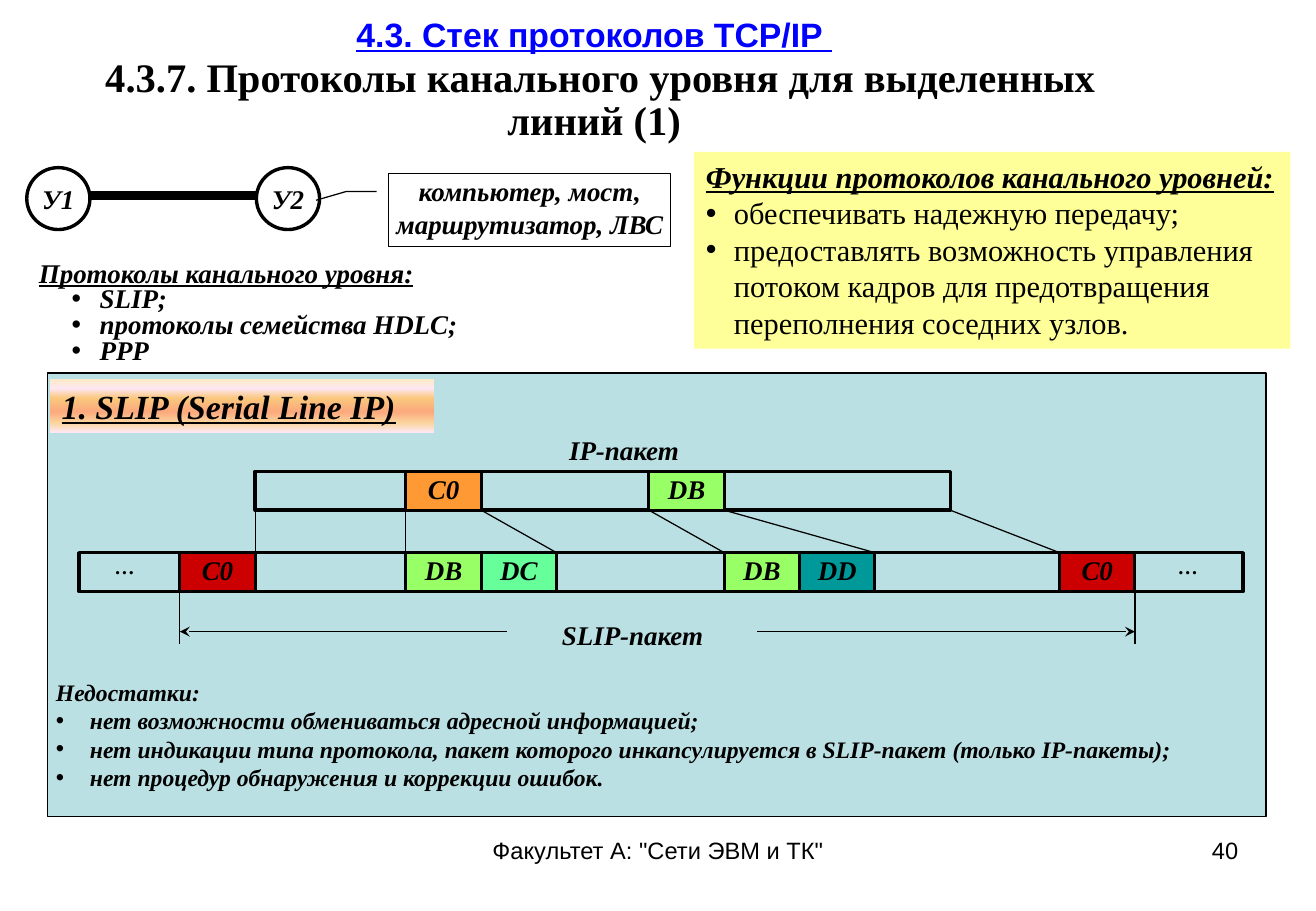
from pptx import Presentation
from pptx.dml.color import RGBColor
from pptx.enum.shapes import MSO_CONNECTOR, MSO_SHAPE
from pptx.enum.text import MSO_ANCHOR, MSO_AUTO_SIZE, PP_ALIGN
from pptx.oxml.ns import qn
from pptx.util import Inches, Pt
from lxml.etree import SubElement

BLACK = RGBColor(0, 0, 0)
WHITE = RGBColor(255, 255, 255)
BLUE = RGBColor(0, 0, 255)
CREAM = RGBColor(0xFF, 0xFF, 0x99)
PALE = RGBColor(0xBB, 0xE0, 0xE3)
AMBER = RGBColor(0xFF, 0x99, 0x33)
GREEN = RGBColor(0x99, 0xFF, 0x66)
MINT = RGBColor(0x66, 0xFF, 0x99)
TEAL = RGBColor(0, 0x99, 0x99)
RED = RGBColor(0xCC, 0, 0)
GLOW = [(0, "FBEAC7"), (18, "FEE7F2"), (36, "FAC77D"),
        (61, "FBA97D"), (82, "FBD49C"), (100, "FEE7F2")]

# Content: text, box, then the format of heads and items
TITLE = [("4.3. Стек протоколов TCP/IP ", dict(name="Arial", size=Pt(20), underline=True), BLUE),
         (" ", dict(size=Pt(28)), BLACK),
         ("4.3.7. Протоколы канального уровня для выделенных линий (1)", dict(size=Pt(24)), BLACK)]
LISTS = [
    dict(box=(0.3, 2.15, 4.24, 0.89), pad=(0.02, 0.01), size=16, left=0.5, hang=0.23,
         gap=0.8, line=True, bold=True, fill=None,
         head="Протоколы канального уровня:",
         items=["SLIP;", "протоколы семейства HDLC;", "РРР"]),
    dict(box=(5.71, 1.25, 4.91, 1.62), pad=(0.1, 0.05), size=18, left=0.23, hang=0.23,
         gap=1.0, line=True, bold=False, fill=CREAM,
         head="Функции протоколов канального уровней:",
         items=["обеспечивать надежную передачу;",
                "предоставлять возможность управления потоком кадров "
                "для предотвращения переполнения соседних узлов."]),
    dict(box=(0.36, 5.53, 10.06, 1.04), pad=(0.1, 0.05), size=14, left=0.28, hang=0.28,
         gap=1.0, line=False, bold=True, fill=None,
         head="Недостатки:",
         items=["нет возможности обмениваться адресной информацией;",
                "нет индикации типа протокола, пакет которого инкапсулируется "
                "в SLIP-пакет (только IP-пакеты);",
                "нет процедур обнаружения и коррекции ошибок."]),
]
NODES = [("У1", 0.22), ("У2", 2.11)]
BEND = (0.244, -0.043, 0.244, -0.15, 0.365, -0.258)

# Byte grid: groups of columns, each one byte wide
BYTE, HIGH = 0.62, 0.32
EDGES = [start + BYTE * k for start, count in ((1.48, 6), (5.34, 5), (8.72, 2))
         for k in range(count)]
IP, SLIP = 3.88, 4.55
BARS = [(2.1, IP, 5.72), (0.65, SLIP, 9.58)]
BYTES = [(IP, 3, "С0", AMBER), (IP, 6, "DB", GREEN),
         (SLIP, 0, "С0", RED), (SLIP, 3, "DB", GREEN), (SLIP, 4, "DC", MINT),
         (SLIP, 7, "DB", GREEN), (SLIP, 8, "DD", TEAL), (SLIP, 11, "С0", RED)]
LINKS = [(1, 1), (3, 3), (4, 5), (6, 7), (7, 9), (10, 11)]
SPANS = [(4.17, 0), (6.23, 12)]
LABELS = [("IP-пакет", (4.1, 3.56, 2.07, 0.28), 16),
          ("SLIP-пакет", (4.17, 5.08, 2.07, 0.28), 16),
          ("…", (0.72, SLIP, BYTE, HIGH), 12), ("…", (9.47, SLIP, BYTE, HIGH), 12)]
FOOT = [("Факультет А: \"Сети ЭВМ и ТК\"", (3.7, 6.83, 3.43, 0.52), PP_ALIGN.CENTER),
        ("40", (7.76, 6.83, 2.53, 0.52), PP_ALIGN.RIGHT)]


def put(thing, form):
    """Set each attribute named in the dict."""
    for key, value in form.items():
        setattr(thing, key, value)


def place(shape, box):
    """Move a shape to a box in inches."""
    put(shape, dict(zip(("left", "top", "width", "height"), map(Inches, box))))


def frame(shape, pad=(0.02, 0.01), anchor=MSO_ANCHOR.TOP):
    """Set margins, wrap and anchor of a text frame."""
    side, edge = map(Inches, pad)
    put(shape.text_frame, dict(margin_left=side, margin_right=side, margin_top=edge,
                               margin_bottom=edge, word_wrap=True,
                               auto_size=MSO_AUTO_SIZE.NONE, vertical_anchor=anchor))
    return shape.text_frame


def write(para, text, color=BLACK, **form):
    """Add a run, bold italic Times unless told otherwise."""
    run = para.add_run()
    run.text = text
    put(run.font, dict(name="Times New Roman", size=Pt(16), bold=True, italic=True) | form)
    run.font.color.rgb = color


def label(shape, text, align=PP_ALIGN.CENTER, pad=(0.02, 0.01), anchor=MSO_ANCHOR.TOP, **form):
    """Write one paragraph in a shape."""
    para = frame(shape, pad, anchor).paragraphs[0]
    para.alignment = align
    write(para, text, **form)


def draw(kind, box, fill=None, line=None):
    """Add a preset shape with plain fill and line."""
    shape = shapes.add_shape(kind, *map(Inches, box))
    shape.shadow.inherit = False
    if fill is None:
        shape.fill.background()
    else:
        shape.fill.solid()
        shape.fill.fore_color.rgb = fill
    if line:
        shape.line.color.rgb = BLACK
        shape.line.width = Pt(line)
    else:
        shape.line.fill.background()
    return shape


def link(x1, y1, x2, y2, width=0.75, tail=None):
    """Join two points, with an arrowhead if asked."""
    line = shapes.add_connector(MSO_CONNECTOR.STRAIGHT, *map(Inches, (x1, y1, x2, y2)))
    line.line.color.rgb = BLACK
    line.line.width = Pt(width)
    if tail:
        SubElement(line.line._get_or_add_ln(), qn("a:tailEnd"), type=tail)
    SubElement(line.element.spPr, qn("a:effectLst"))


def shade(shape, stops):
    """Fill a shape with a gradient running downwards."""
    shape.fill.gradient()
    shape.fill.gradient_angle = 270
    bar = shape.element.find(".//" + qn("a:gsLst"))
    for stop in list(bar):
        bar.remove(stop)
    for share, color in stops:
        stop = SubElement(bar, qn("a:gs"), pos=str(share * 1000))
        SubElement(stop, qn("a:srgbClr"), val=color)


def fill_list(shape, data):
    """Write a head and its bullet items in a body placeholder."""
    shape.element.getparent().append(shape.element)
    place(shape, data["box"])
    if data["fill"]:
        shape.fill.solid()
        shape.fill.fore_color.rgb = data["fill"]
    text = frame(shape, data["pad"])
    for k, item in enumerate([data["head"], *data["items"]]):
        para = text.add_paragraph() if k else text.paragraphs[0]
        put(para, dict(line_spacing=data["gap"], space_before=Pt(0), alignment=PP_ALIGN.LEFT))
        slant = data["bold"] or not k
        write(para, item, size=Pt(data["size"]), bold=slant, italic=slant,
              underline=data["line"] and not k)
        props = para._p.get_or_add_pPr()
        props.set("marL", str(Inches(data["left"] if k else 0)))
        props.set("indent", str(-Inches(data["hang"] if k else 0)))
        if k:
            SubElement(props, qn("a:buFont"), typeface="Arial")
            SubElement(props, qn("a:buChar"), char="•")
        else:
            SubElement(props, qn("a:buNone"))


deck = Presentation()
deck.slide_width, deck.slide_height = Inches(10.83), Inches(7.5)
slide = deck.slides.add_slide(deck.slide_layouts[4])
shapes = slide.shapes
title, *bodies = list(slide.placeholders)

place(title, (0.22, 0.16, 9.34, 1.03))
para = frame(title, (0.1, 0.05), MSO_ANCHOR.MIDDLE).paragraphs[0]
put(para, dict(alignment=PP_ALIGN.CENTER, line_spacing=0.85))
for k, (text, form, color) in enumerate(TITLE):
    if k == 1:
        para.add_line_break()
    write(para, text, color, italic=False, **form)

for text, left in NODES:
    label(draw(MSO_SHAPE.OVAL, (left, 1.38, 0.52, 0.51), WHITE, 2), text,
          pad=(0, 0), anchor=MSO_ANCHOR.MIDDLE)
link(0.73, 1.61, 2.11, 1.61, 5)
note = draw(MSO_SHAPE.LINE_CALLOUT_2, (3.2, 1.43, 2.32, 0.6), line=0.75)
for k, share in enumerate(BEND):
    note.adjustments[k] = share
label(note, "компьютер, мост, маршрутизатор, ЛВС")

draw(MSO_SHAPE.RECTANGLE, (0.39, 3.07, 10.03, 3.65), PALE, 0.75)
plate = draw(MSO_SHAPE.RECTANGLE, (0.41, 3.12, 3.16, 0.44))
shade(plate, GLOW)
label(plate, "1. SLIP (Serial Line IP)", PP_ALIGN.LEFT, (0.1, 0.05), MSO_ANCHOR.MIDDLE,
      size=Pt(20), underline=True)

for left, top, width in BARS:
    draw(MSO_SHAPE.RECTANGLE, (left, top, width, HIGH), line=2)
for top, col, text, color in BYTES:
    label(draw(MSO_SHAPE.RECTANGLE, (EDGES[col], top, BYTE, HIGH), color, 1.75), text)
for start, end in LINKS:
    link(EDGES[start], IP + HIGH, EDGES[end], SLIP)
for start, col in SPANS:
    link(EDGES[col], SLIP + HIGH, EDGES[col], 5.3)
    link(start, 5.2, EDGES[col], 5.2, tail="stealth")
for text, box, size in LABELS:
    label(shapes.add_textbox(*map(Inches, box)), text, size=Pt(size))

for body, data in zip(bodies, LISTS):
    fill_list(body, data)
for body in bodies[len(LISTS):]:
    body.element.getparent().remove(body.element)
for text, box, align in FOOT:
    label(shapes.add_textbox(*map(Inches, box)), text, align, (0.1, 0.05),
          name="Arial", size=Pt(14), bold=False, italic=False)

deck.save("out.pptx")
